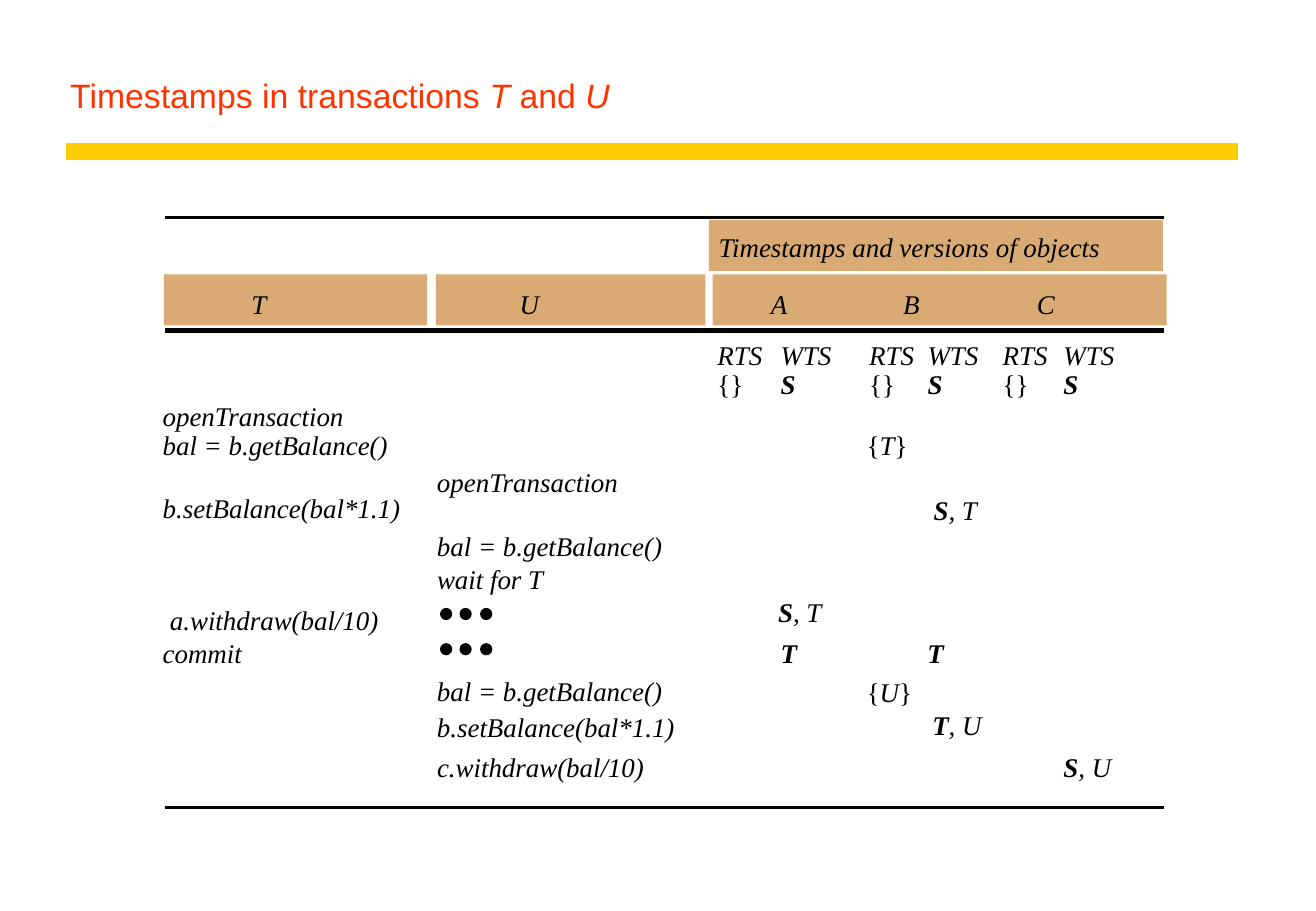
from lxml.etree import SubElement
from pptx import Presentation
from pptx.dml.color import RGBColor as Rgb
from pptx.enum.shapes import MSO_CONNECTOR as Conn, MSO_SHAPE as Shape
from pptx.enum.text import MSO_ANCHOR as Anchor, MSO_AUTO_SIZE as Fit
from pptx.oxml.ns import qn
from pptx.util import Inches, Pt

COLORS = {"title": "FF3300", "rule": "FFCC00", "head": "D9AA73", "ink": "000000"}

deck = Presentation()
deck.slide_width = Inches(10.84)
deck.slide_height = Inches(7.5)
slide = deck.slides.add_slide(deck.slide_layouts[6])
shapes = slide.shapes


def add_text(box, runs, size, face, color):
    para = box.text_frame.paragraphs[0]
    for text, style in runs:
        run = para.add_run()
        run.text = text
        run.font.size = Pt(size)
        run.font.name = face
        run.font.bold = "b" in style
        run.font.italic = "i" in style
        run.font.color.rgb = Rgb.from_string(COLORS[color])


def add_block(kind, x, y, w, h, color):
    block = shapes.add_shape(kind, Inches(x), Inches(y), Inches(w), Inches(h))
    block.shadow.inherit = False
    block.fill.solid()
    block.fill.fore_color.rgb = Rgb.from_string(COLORS[color])
    block.line.fill.background()
    return block


title = shapes.add_textbox(Inches(0.48), Inches(0.25), Inches(9.72), Inches(0.75))
title.text_frame.word_wrap = True
title.text_frame.vertical_anchor = Anchor.BOTTOM
words = [("Timestamps in transactions ", ""), ("T", "i"), (" and ", ""), ("U", "i")]
add_text(title, words, 20, "Arial", "title")

for x, y, w in [(5.84, 1.81, 3.74), (1.35, 2.26, 2.17), (3.59, 2.26, 2.22), (5.87, 2.26, 3.74)]:
    add_block(Shape.RECTANGLE, x, y, w, 0.42, "head")

rules = [
    (0.54, 10.2, 1.25, 10, "rule"),
    (1.36, 9.59, 1.79, 2, "ink"),
    (1.36, 9.59, 2.72, 3, "ink"),
    (1.36, 9.59, 6.65, 2, "ink"),
]
for left, right, y, weight, color in rules:
    rule = shapes.add_connector(Conn.STRAIGHT, Inches(left), Inches(y), Inches(right), Inches(y))
    rule.line.width = Pt(weight)
    rule.line.color.rgb = Rgb.from_string(COLORS[color])
    SubElement(rule._element.spPr, qn("a:effectLst"))

for y in (5.01, 5.3):
    for x in (3.63, 3.79, 3.96):
        dot = add_block(Shape.OVAL, x, y, 0.09, 0.09, "ink")
        dot.line.color.rgb = Rgb.from_string(COLORS["ink"])
        dot.line.width = Pt(0.75)

T_LEFT, U_LEFT = 1.34, 3.6
SLACK = 0.1
cells = [
    (5.92, 1.9, 3.15, [("Timestamps and versions of objects", "i")]),
    (2.07, 2.37, 0.13, [("T", "i")]),
    (4.28, 2.37, 0.16, [("U", "i")]),
    (6.35, 2.37, 0.14, [("A", "i")]),
    (7.44, 2.37, 0.14, [("B", "i")]),
    (8.54, 2.37, 0.15, [("C", "i")]),
    (T_LEFT, 3.29, 1.5, [("openTransaction", "i")]),
    (T_LEFT, 3.53, 1.86, [("bal = b.getBalance()", "i")]),
    (7.14, 3.53, 0.34, [("{", ""), ("T", "i"), ("}", "")]),
    (U_LEFT, 3.83, 1.5, [("openTransaction", "i")]),
    (T_LEFT, 4.05, 1.96, [("b.setBalance(bal*1.1)", "i")]),
    (7.69, 4.06, 0.36, [("S", "bi"), (", T", "i")]),
    (U_LEFT, 4.36, 1.86, [("bal = b.getBalance()", "i")]),
    (U_LEFT, 4.63, 0.88, [("wait for T", "i")]),
    (6.41, 4.9, 0.36, [("S", "bi"), (", T", "i")]),
    (1.4, 4.97, 1.72, [("a.withdraw(bal/10)", "i")]),
    (T_LEFT, 5.24, 0.65, [("commit", "i")]),
    (6.43, 5.24, 0.14, [("T", "bi")]),
    (7.64, 5.24, 0.14, [("T", "bi")]),
    (U_LEFT, 5.55, 1.86, [("bal = b.getBalance()", "i")]),
    (7.14, 5.56, 0.37, [("{", ""), ("U", "i"), ("}", "")]),
    (U_LEFT, 5.85, 1.96, [("b.setBalance(bal*1.1)", "i")]),
    (7.68, 5.83, 0.46, [("T", "bi"), (", U", "i")]),
    (U_LEFT, 6.18, 1.72, [("c.withdraw(bal/10)", "i")]),
    (8.76, 6.18, 0.39, [("S", "bi"), (", U", "i")]),
]
for read, write in [(5.91, 6.43), (7.16, 7.64), (8.26, 8.76)]:
    cells += [
        (read, 2.79, 0.37, [("RTS", "i")]),
        (write, 2.79, 0.42, [("WTS", "i")]),
        (read, 3.03, 0.21, [("{}", "")]),
        (write, 3.03, 0.12, [("S", "bi")]),
    ]

for x, y, w, runs in cells:
    cell = shapes.add_textbox(Inches(x), Inches(y), Inches(w + SLACK), Inches(0.27))
    frame = cell.text_frame
    frame.margin_left = frame.margin_right = frame.margin_top = frame.margin_bottom = 0
    frame.word_wrap = True
    frame.auto_size = Fit.NONE
    add_text(cell, runs, 16, "Times New Roman", "ink")

deck.save("out.pptx")
